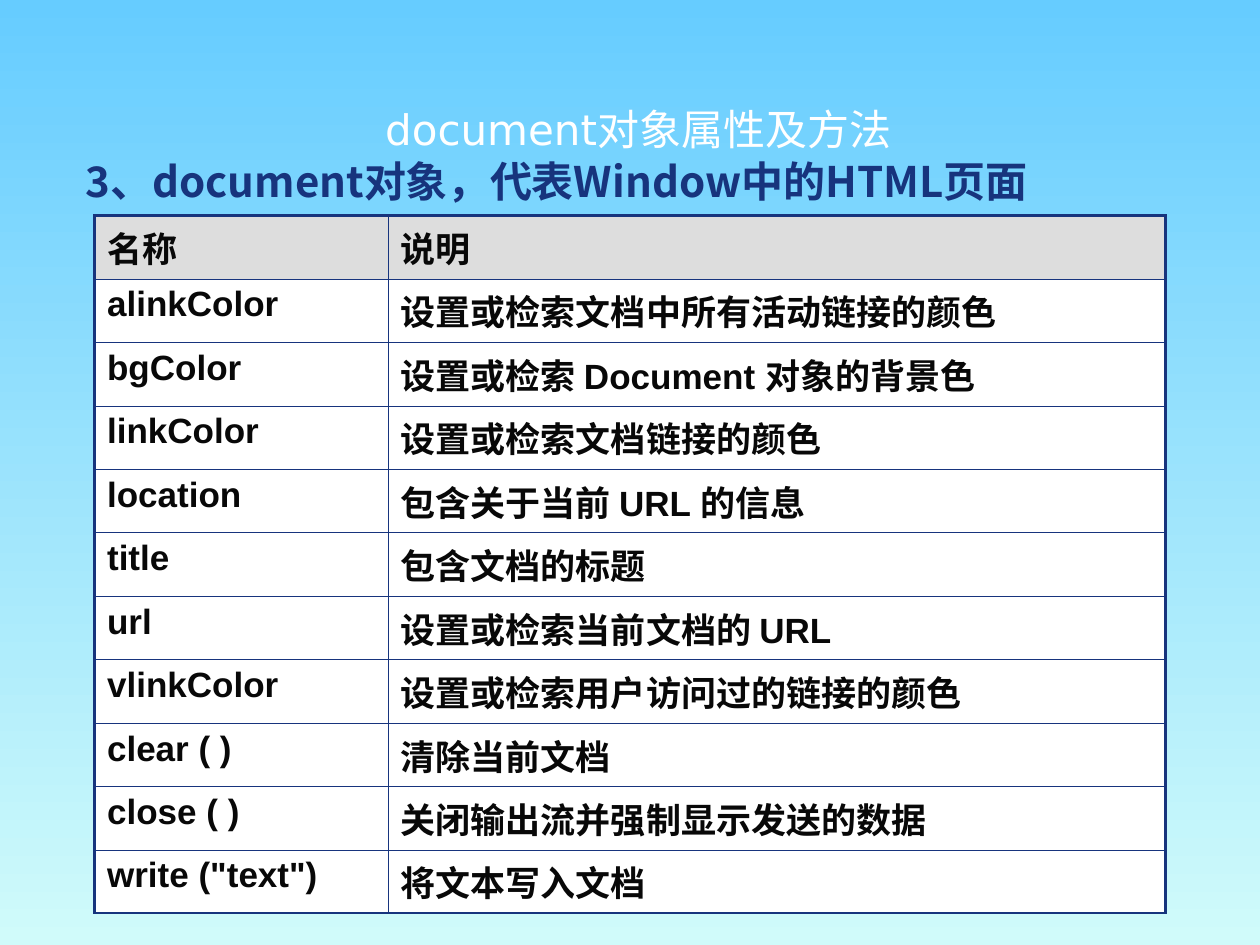
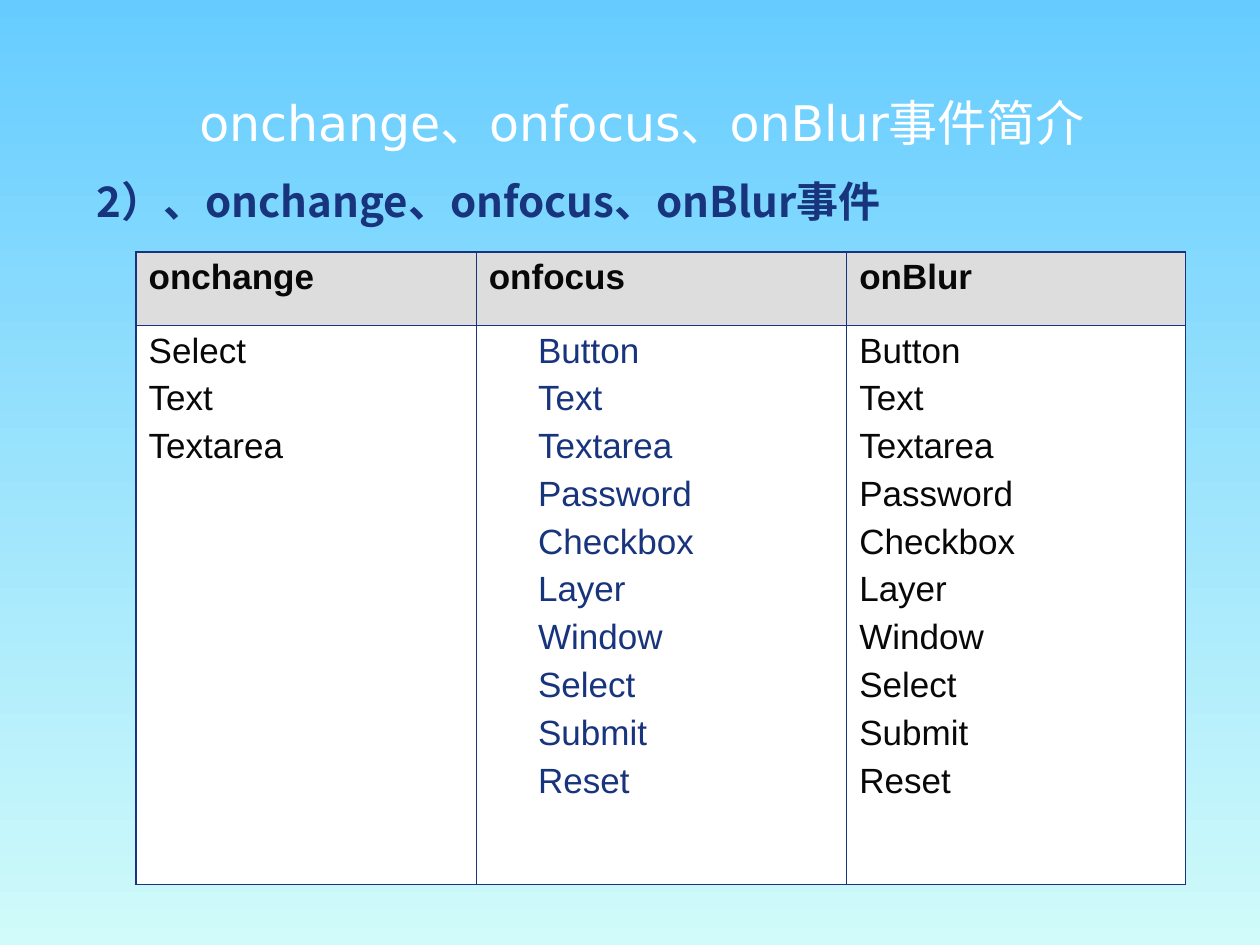
from lxml import etree
from pptx import Presentation
from pptx.dml.color import RGBColor as RGB
from pptx.enum.text import MSO_ANCHOR as Anchor, PP_ALIGN as Align
from pptx.oxml.ns import qn
from pptx.util import Inches, Pt

COLORS = {"sky": "66CCFF", "mint": "D0FBFA", "navy": "17347D", "ink": "080808",
          "header": "DDDDDD", "white": "FFFFFF"}
TITLE_FONT, BODY_FONT, CJK_FONT = "DejaVu Sans", "Arial", "Noto Sans CJK SC"
LIST_GAP = Pt(5)
MEMBERS_HEIGHT = 5.54

DOCUMENT_MEMBERS = [
    ("名称", "说明"),
    ("alinkColor", "设置或检索文档中所有活动链接的颜色"),
    ("bgColor", "设置或检索 Document 对象的背景色"),
    ("linkColor", "设置或检索文档链接的颜色"),
    ("location", "包含关于当前 URL 的信息"),
    ("title", "包含文档的标题"),
    ("url", "设置或检索当前文档的 URL"),
    ("vlinkColor", "设置或检索用户访问过的链接的颜色"),
    ("clear ( )", "清除当前文档"),
    ("close ( )", "关闭输出流并强制显示发送的数据"),
    ('write ("text")', "将文本写入文档"),
]
CHANGE_SOURCES = "Select\nText\nTextarea"
FOCUS_SOURCES = ("Button\nText\nTextarea\nPassword\nCheckbox\n"
                 "Layer\nWindow\nSelect\nSubmit\nReset")
EVENT_SOURCES = [
    ("onchange", "onfocus", "onBlur"),
    (CHANGE_SOURCES, FOCUS_SOURCES, FOCUS_SOURCES),
]


def rgb(name):
    return RGB.from_string(COLORS[name])


def style_text(frame, font_name, size, color, bold=False):
    for paragraph in frame.paragraphs:
        for run in paragraph.runs:
            font = run.font
            font.size, font.bold, font.name = Pt(size), bold, font_name
            font.color.rgb = rgb(color)
            etree.SubElement(run._r.get_or_add_rPr(), qn("a:ea"), typeface=CJK_FONT)


def add_text(slide, box, text):
    frame = slide.shapes.add_textbox(*map(Inches, box)).text_frame
    frame.word_wrap = True
    frame.text = text
    return frame


def add_title(slide, box, text, size):
    frame = add_text(slide, box, text)
    frame.vertical_anchor = Anchor.MIDDLE
    frame.paragraphs[0].alignment = Align.CENTER
    style_text(frame, TITLE_FONT, size, "white")


def add_heading(slide, box, text, line_spacing=1.0):
    frame = add_text(slide, box, text)
    frame.paragraphs[0].line_spacing = line_spacing
    style_text(frame, CJK_FONT, 24, "navy", bold=True)


def add_border(cell, side, width):
    line = etree.SubElement(cell._tc.get_or_add_tcPr(), qn(f"a:ln{side}"),
                            w=str(Pt(width)))
    fill = etree.SubElement(line, qn("a:solidFill"))
    etree.SubElement(fill, qn("a:srgbClr"), val=COLORS["navy"])


def add_grid(slide, corner, widths, heights, rows, outer, inner, bold_body):
    left, top = corner
    table = slide.shapes.add_table(
        len(heights), len(widths), Inches(left), Inches(top),
        Inches(sum(widths)), Inches(sum(heights))).table
    table.first_row = table.horz_banding = False
    for column, width in zip(table.columns, widths):
        column.width = Inches(width)
    last_row, last_column = len(heights) - 1, len(widths) - 1
    for r, row in enumerate(rows):
        table.rows[r].height = Inches(heights[r])
        for c, text in enumerate(row):
            cell = table.cell(r, c)
            on_edge = {"L": c == 0, "R": c == last_column,
                       "T": r == 0, "B": r == last_row}
            for side, is_outer in on_edge.items():
                add_border(cell, side, outer if is_outer else inner)
            cell.fill.solid()
            cell.fill.fore_color.rgb = rgb("white" if r else "header")
            cell.text_frame.text = text
            for paragraph in cell.text_frame.paragraphs[1:]:
                paragraph.space_before = LIST_GAP
            style_text(cell.text_frame, BODY_FONT, 20, "ink", r == 0 or bold_body)
    return table


def add_sky_slide(deck):
    slide = deck.slides.add_slide(deck.slide_layouts[6])
    sky = slide.background.fill
    sky.gradient()
    sky.gradient_angle = 270
    for stop, color in zip(sky.gradient_stops, ("sky", "mint")):
        stop.color.rgb = rgb(color)
    return slide


def build_document_slide(deck):
    slide = add_sky_slide(deck)
    add_title(slide, (0.8, 0.71, 8.53, 0.62), "document对象属性及方法", 24)
    add_heading(slide, (0.58, 1.26, 8.71, 0.44),
                "3、document对象，代表Window中的HTML页面", 0.8)
    row_count = len(DOCUMENT_MEMBERS)
    add_grid(slide, (0.75, 1.71), (2.33, 6.17),
             [MEMBERS_HEIGHT / row_count] * row_count,
             DOCUMENT_MEMBERS, outer=1.47, inner=0.23, bold_body=True)


def build_events_slide(deck):
    slide = add_sky_slide(deck)
    add_title(slide, (0.83, 0.66, 8.53, 0.62), "onchange、onfocus、onBlur事件简介", 28)
    add_heading(slide, (0.67, 1.34, 8.5, 0.75), "2）、onchange、onfocus、onBlur事件")
    events = add_grid(slide, (1.08, 2), (2.7, 2.94, 2.69), (0.58, 4.44),
                      EVENT_SOURCES, outer=1.08, inner=0.45, bold_body=False)
    for paragraph in events.cell(1, 1).text_frame.paragraphs:
        paragraph._p.get_or_add_pPr().set("marL", str(Inches(0.39)))
        for run in paragraph.runs:
            run.font.color.rgb = rgb("navy")


def main():
    deck = Presentation()
    deck.slide_width, deck.slide_height = Inches(10), Inches(7.5)
    build_document_slide(deck)
    build_events_slide(deck)
    deck.save("out.pptx")


if __name__ == "__main__":
    main()
